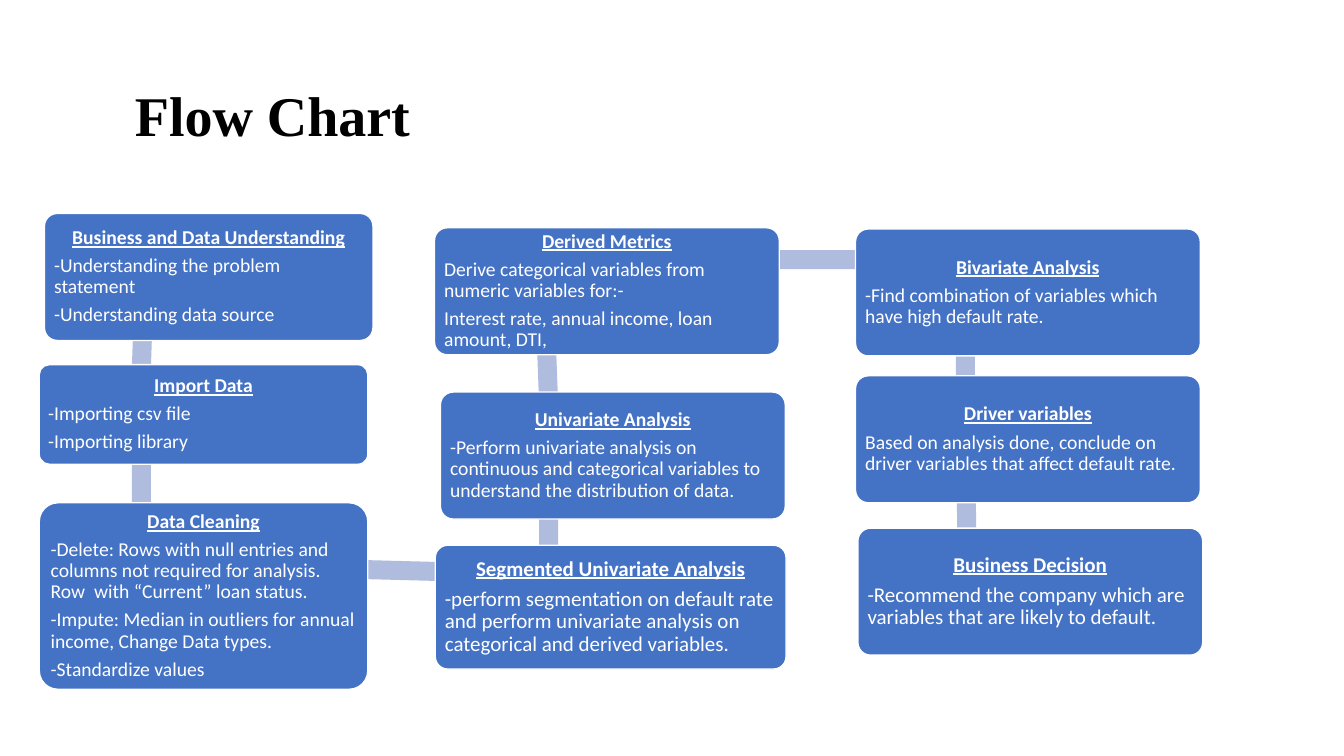
from dataclasses import dataclass
from pptx import Presentation
from pptx.dml.color import RGBColor
from pptx.enum.shapes import MSO_SHAPE as Preset
from pptx.enum.text import MSO_ANCHOR as Anchor, PP_ALIGN as Align
from pptx.util import Cm, Pt


@dataclass(frozen=True)
class Theme:
    box: RGBColor = RGBColor(0x44, 0x72, 0xC4)
    link: RGBColor = RGBColor(0xB0, 0xBC, 0xDE)
    white: RGBColor = RGBColor(0xFF, 0xFF, 0xFF)
    black: RGBColor = RGBColor(0x00, 0x00, 0x00)
    title_size: int = 40
    body_size: int = 14
    large_size: int = 15


theme = Theme()


def add_filled(preset, left, top, width, height, color):
    shape = slide.shapes.add_shape(preset, Cm(left), Cm(top), Cm(width), Cm(height))
    shape.shadow.inherit = False
    shape.fill.solid()
    shape.fill.fore_color.rgb = color
    return shape


def write(paragraph, text, color, **font_format):
    paragraph.line_spacing = 0.9
    run = paragraph.add_run()
    run.text = text
    run.font.color.rgb = color
    for name, value in font_format.items():
        setattr(run.font, name, value)


presentation = Presentation()
presentation.slide_width, presentation.slide_height = Cm(33.87), Cm(19.05)
slide = presentation.slides.add_slide(presentation.slide_layouts[6])

# Title
title = slide.shapes.add_textbox(Cm(3.15), Cm(1.78), Cm(25.88), Cm(2.39)).text_frame
title.word_wrap = True
title.vertical_anchor = Anchor.MIDDLE
write(title.paragraphs[0], "Flow Chart", theme.black,
      name="Times New Roman", size=Pt(theme.title_size), bold=True)

# Links between steps: centre x, centre y, length, rotation; the boxes cover their ends
link_width = 0.48
links = [
    (3.61, 7.89, 3.45, 92), (3.56, 11.93, 4.57, 90), (8.67, 14.34, 10.24, 1.5),
    (13.83, 12.56, 3.84, 270.1), (13.77, 8.6, 4.11, 267.9), (19.01, 6.54, 10.59, 0.1),
    (24.33, 8.39, 3.66, 90.1), (24.35, 12.15, 3.84, 89.6),
]
for center_x, center_y, length, rotation in links:
    link = add_filled(Preset.RECTANGLE, center_x - length / 2, center_y - link_width / 2,
                      length, link_width, theme.link)
    link.line.fill.background()
    link.rotation = rotation

# Steps: left, top, width, height, type size, heading, lines
steps = [
    (1.12, 5.38, 8.28, 3.2, theme.body_size, "Business and Data Understanding",
     ["-Understanding the problem statement", "-Understanding data source"]),
    (0.99, 9.19, 8.28, 2.51, theme.body_size, "Import Data",
     ["-Importing csv file", "-Importing library"]),
    (0.99, 12.67, 8.28, 4.7, theme.body_size, "Data Cleaning",
     ["-Delete: Rows with null entries and columns not required for analysis. "
      "Row  with “Current” loan status.",
      "-Impute: Median in outliers for annual income, Change Data types.",
      "-Standardize values"]),
    (10.97, 13.74, 8.84, 3.12, theme.large_size, "Segmented Univariate Analysis",
     ["-perform segmentation on default rate and perform univariate analysis on "
      "categorical and derived variables."]),
    (11.1, 9.88, 8.69, 3.2, theme.body_size, "Univariate Analysis",
     ["-Perform univariate analysis on continuous and categorical variables to "
      "understand the distribution of data."]),
    (10.95, 5.74, 8.69, 3.2, theme.body_size, "Derived Metrics",
     ["Derive categorical variables from numeric variables for:-",
      "Interest rate, annual income, loan amount, DTI,"]),
    (21.56, 5.77, 8.69, 3.2, theme.body_size, "Bivariate Analysis",
     ["-Find combination of variables which have high default rate."]),
    (21.56, 9.47, 8.69, 3.2, theme.body_size, "Driver variables",
     ["Based on analysis done, conclude on driver variables that affect default rate."]),
    (21.62, 13.31, 8.69, 3.2, theme.large_size, "Business Decision",
     ["-Recommend the company which are variables that are likely to default."]),
]
frame_format = dict.fromkeys(
    ("margin_left", "margin_right", "margin_top", "margin_bottom"), Cm(0.15))
frame_format.update(word_wrap=True, vertical_anchor=Anchor.MIDDLE)

for left, top, width, height, size, heading, lines in steps:
    box = add_filled(Preset.ROUNDED_RECTANGLE, left, top, width, height, theme.box)
    box.adjustments[0] = 0.1
    box.line.color.rgb = theme.white
    box.line.width = Pt(1)
    frame = box.text_frame
    for name, value in frame_format.items():
        setattr(frame, name, value)
    for index, text in enumerate([heading, *lines]):
        is_heading = index == 0
        paragraph = frame.paragraphs[0] if is_heading else frame.add_paragraph()
        paragraph.alignment = Align.CENTER if is_heading else Align.LEFT
        paragraph.space_after = Pt(round(0.35 * size, 1))
        write(paragraph, text, theme.white, name="Calibri", size=Pt(size),
              bold=is_heading, underline=is_heading)

presentation.save("out.pptx")
